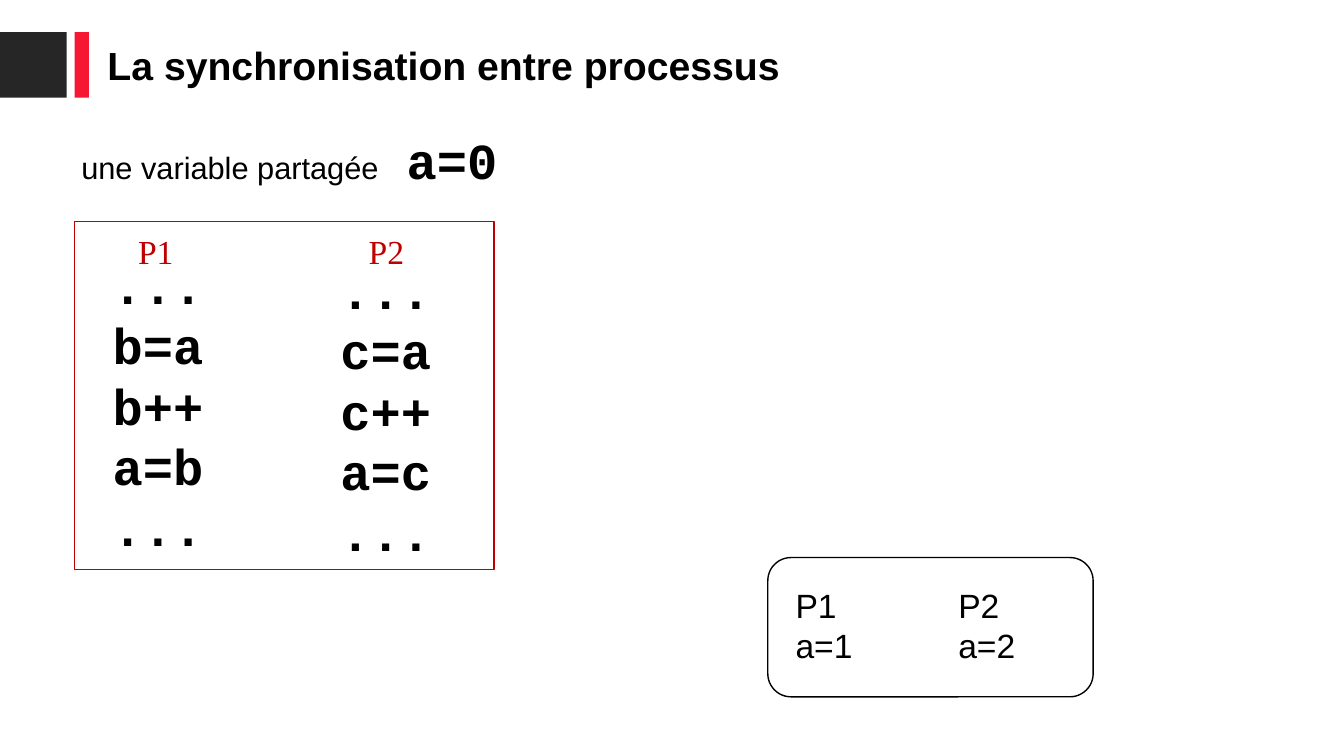
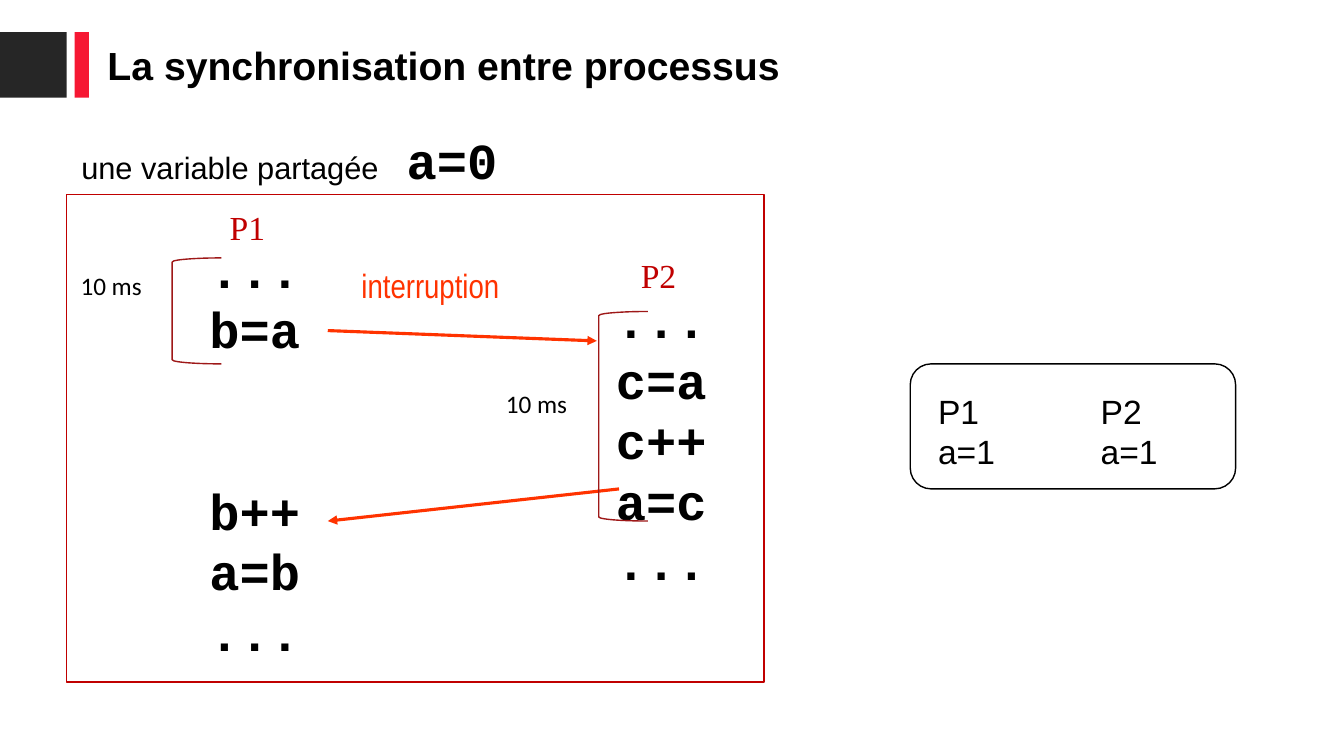
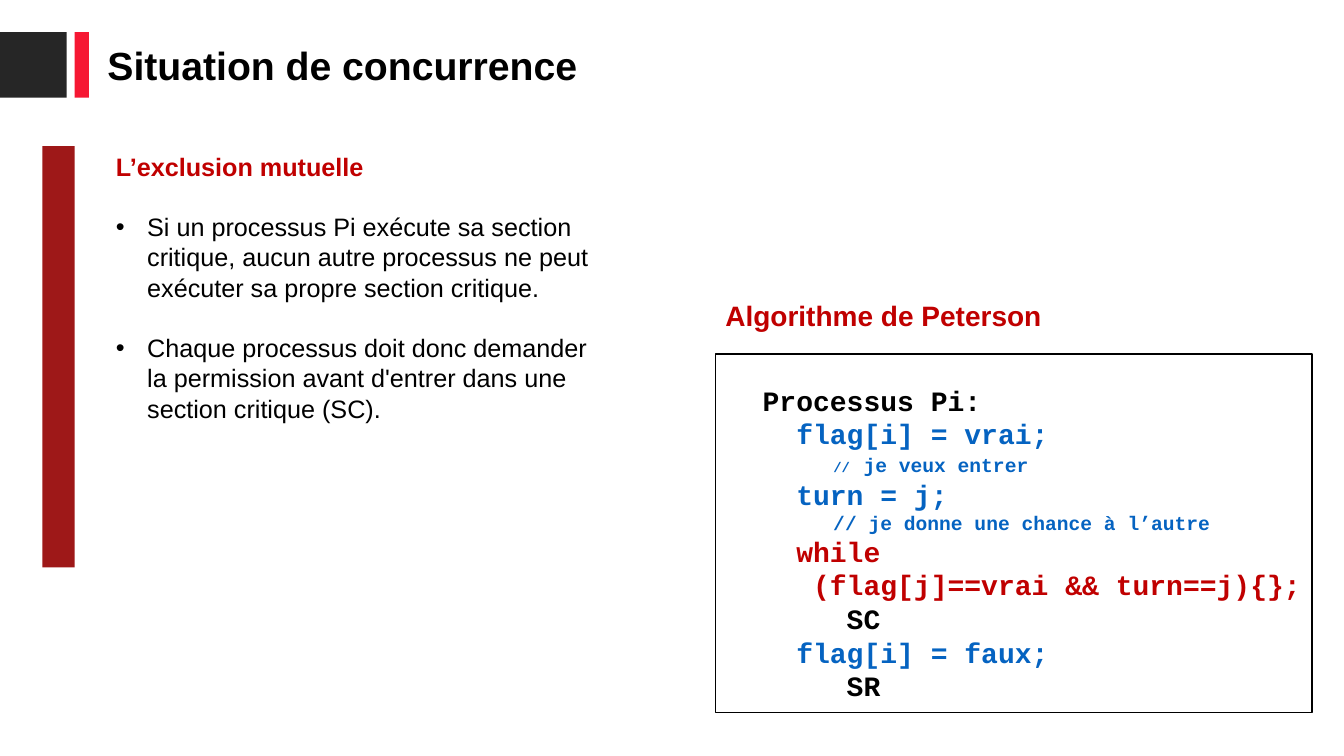
"""Build three slides on process synchronisation and mutual exclusion."""
from lxml.etree import SubElement
from pptx import Presentation
from pptx.dml.color import RGBColor
from pptx.enum.shapes import MSO_CONNECTOR as Link, MSO_SHAPE as Preset
from pptx.oxml.ns import qn
from pptx.util import Cm, Pt

COLORS = {
    "black": "000000",
    "dark": "262626",
    "accent": "F61833",
    "red": "C00000",
    "brick": "9E1818",
    "orange": "FF3300",
    "blue": "0563C1",
}
SANS, SERIF, MONO = "Arial", "Times New Roman", "Courier New"
LINE_HEIGHT = 1.2
CODE_SIZE = 36

SYNC_TITLE = "La synchronisation entre processus"
SHARED_LABEL, SHARED_VALUE = "une variable partagée", "a=0"
P1_CODE = ["...", "b=a", "b++", "a=b", "..."]
P2_CODE = ["...", "c=a", "c++", "a=c", "..."]

SEQUENTIAL = {
    "frame": (1.88, 5.59, 10.57, 8.76),
    "processes": [
        ("P1", (3.23, 5.69), P1_CODE, (2.59, 6.27, 2.79, 7.77), {}),
        ("P2", (9.04, 5.69), P2_CODE, (8.33, 6.4, 2.79, 7.67), {}),
    ],
    "result": (19.35, 14.05, 8.2, 3.51),
    "values": [("P1", "a=1"), ("P2", "a=2")],
}
INTERRUPTED = {
    "frame": (1.68, 4.9, 17.58, 12.29),
    "processes": [
        ("P1", (5.54, 5.08), P1_CODE, (5.03, 5.87, 2.84, 9.73), {2: 2}),
        ("P2", (15.9, 6.3), P2_CODE, (15.27, 7.14, 2.84, 8.97), {}),
    ],
    "result": (22.94, 9.17, 8.2, 3.15),
    "values": [("P1", "a=1"), ("P2", "a=1")],
}
SWITCHES = [(8.26, 8.33, 15.04, 8.59), (15.6, 12.32, 8.26, 13.13)]
QUANTA = [
    ((1.78, 6.68), (4.34, 6.5, 1.24, 2.67)),
    ((12.5, 9.65), (15.09, 7.85, 1.24, 5.28)),
]

EXCLUSION_HEADING = "L’exclusion mutuelle"
EXCLUSION_POINTS = [
    "Si un processus Pi exécute sa section critique, aucun autre processus "
    "ne peut exécuter sa propre section critique.",
    "Chaque processus doit donc demander la permission avant d'entrer dans "
    "une section critique (SC).",
]
PETERSON = [
    ("black", [("Processus Pi:", 20)]),
    ("blue", [("  flag[i] = vrai;", 20)]),
    ("blue", [("      ", 14), ("//", 10), (" ", 16), ("je veux entrer", 14)]),
    ("blue", [("  turn = j;", 20)]),
    ("blue", [("      // je donne une chance à l’autre", 14)]),
    ("red", [("  while", 20)]),
    ("red", [("   (flag[j]==vrai && turn==j){};", 20)]),
    ("black", [("     SC", 20)]),
    ("blue", [("  flag[i] = faux;", 20)]),
    ("black", [("     SR", 20)]),
]


def rgb(name):
    return RGBColor.from_string(COLORS[name])


def style(font, size, face=SANS, color="black", bold=False):
    font.size, font.name, font.bold = Pt(size), face, bold
    font.color.rgb = rgb(color)


def add_box(page, area):
    frame = page.shapes.add_textbox(*map(Cm, area)).text_frame
    frame.word_wrap = True
    frame.margin_right = 0
    return frame


def add_para(frame, index):
    return frame.add_paragraph() if index else frame.paragraphs[0]


def add_text(page, area, lines, size, gaps=None, **look):
    frame = add_box(page, area)
    for index, line in enumerate(lines):
        para = add_para(frame, index)
        para.add_run().text = line
        style(para.font, size, **look)
        if gaps and index in gaps:
            para.space_before = Pt(gaps[index] * size * LINE_HEIGHT)
    return frame


def add_figure(page, area, preset=Preset.RECTANGLE, fill=None, line=None):
    shape = page.shapes.add_shape(preset, *map(Cm, area))
    shape.shadow.inherit = False
    if fill:
        shape.fill.solid()
        shape.fill.fore_color.rgb = rgb(fill)
    else:
        shape.fill.background()
    if line:
        shape.line.color.rgb = rgb(line)
        shape.line.width = Pt(1)
    else:
        shape.line.fill.background()


def add_arrow(page, ends):
    arrow = page.shapes.add_connector(Link.STRAIGHT, *map(Cm, ends))
    arrow.line.color.rgb = rgb("orange")
    arrow.line.width = Pt(2.25)
    SubElement(arrow.line._get_or_add_ln(), qn("a:tailEnd"), type="triangle")
    SubElement(arrow._element.spPr, qn("a:effectLst"))


def add_page(deck, title):
    page = deck.slides.add_slide(deck.slide_layouts[6])
    add_figure(page, (0, 0.81, 1.68, 1.65), fill="dark")
    add_figure(page, (1.88, 0.81, 0.36, 1.65), fill="accent")
    add_text(page, (2.46, 0.91, 21.36, 1.45), [title], 28, bold=True)
    return page


def add_shared_variable(page):
    para = add_box(page, (1.8, 3.12, 12.15, 1.8)).paragraphs[0]
    tabs = SubElement(para._p.get_or_add_pPr(), qn("a:tabLst"))
    SubElement(tabs, qn("a:tab"), pos=str(Cm(8.2)), algn="l")
    for text, size, face, bold in (
        (SHARED_LABEL + "\t", 22, SANS, False),
        (SHARED_VALUE, CODE_SIZE, MONO, True),
    ):
        span = para.add_run()
        span.text = text
        style(span.font, size, face, bold=bold)


def add_scenario(deck, scenario):
    page = add_page(deck, SYNC_TITLE)
    add_shared_variable(page)
    add_figure(page, scenario["frame"], line="red")
    for name, corner, code, area, gaps in scenario["processes"]:
        add_text(page, area, code, CODE_SIZE, gaps, face=MONO, bold=True)
        add_text(page, (*corner, 1.45, 1.27), [name], 24, face=SERIF, color="red")
    left, top, width, _ = scenario["result"]
    add_figure(page, scenario["result"], Preset.ROUNDED_RECTANGLE, line="black")
    for column, lines in enumerate(scenario["values"]):
        x = left + 0.45 + column * width / 2
        add_text(page, (x, top + 0.56, 2.34, 2.31), lines, 24)
    return page


def add_interruption(page):
    for ends in SWITCHES:
        add_arrow(page, ends)
    add_text(page, (8.86, 6.55, 4.06, 1.27), ["interruption"], 24,
             face="Arial Narrow", color="orange")
    for corner, bracket in QUANTA:
        add_figure(page, bracket, Preset.LEFT_BRACKET, line="brick")
        add_text(page, (*corner, 2.13, 1.02), ["10 ms"], 18, face="Calibri")


def add_exclusion(page):
    add_figure(page, (1.07, 3.68, 0.81, 10.62), fill="brick")
    frame = add_text(page, (2.67, 3.68, 12.58, 10.62), [EXCLUSION_HEADING], 18,
                     color="red", bold=True)
    for point in EXCLUSION_POINTS:
        para = frame.add_paragraph()
        para.add_run().text = point
        props = para._p.get_or_add_pPr()
        props.set("marL", str(Cm(0.79)))
        props.set("indent", str(-Cm(0.79)))
        SubElement(props, qn("a:buFont"), typeface=SANS)
        SubElement(props, qn("a:buChar"), char="•")
        para.space_before = Pt(18 * LINE_HEIGHT)
        style(para.font, 18)


def add_peterson(page):
    add_text(page, (18.03, 7.39, 9.22, 1.12), ["Algorithme de Peterson"], 20,
             color="red", bold=True)
    add_figure(page, (18.03, 8.92, 15.04, 9.04), line="black")
    frame = add_box(page, (18.97, 9.53, 14.12, 8.38))
    for index, (color, spans) in enumerate(PETERSON):
        para = add_para(frame, index)
        style(para.font, spans[0][1], MONO, color, bold=True)
        for text, size in spans:
            span = para.add_run()
            span.text = text
            if len(spans) > 1:
                span.font.size = Pt(size)


def main():
    deck = Presentation()
    deck.slide_width, deck.slide_height = Cm(33.87), Cm(19.05)
    add_scenario(deck, SEQUENTIAL)
    add_interruption(add_scenario(deck, INTERRUPTED))
    page = add_page(deck, "Situation de concurrence")
    add_exclusion(page)
    add_peterson(page)
    deck.save("out.pptx")


if __name__ == "__main__":
    main()
